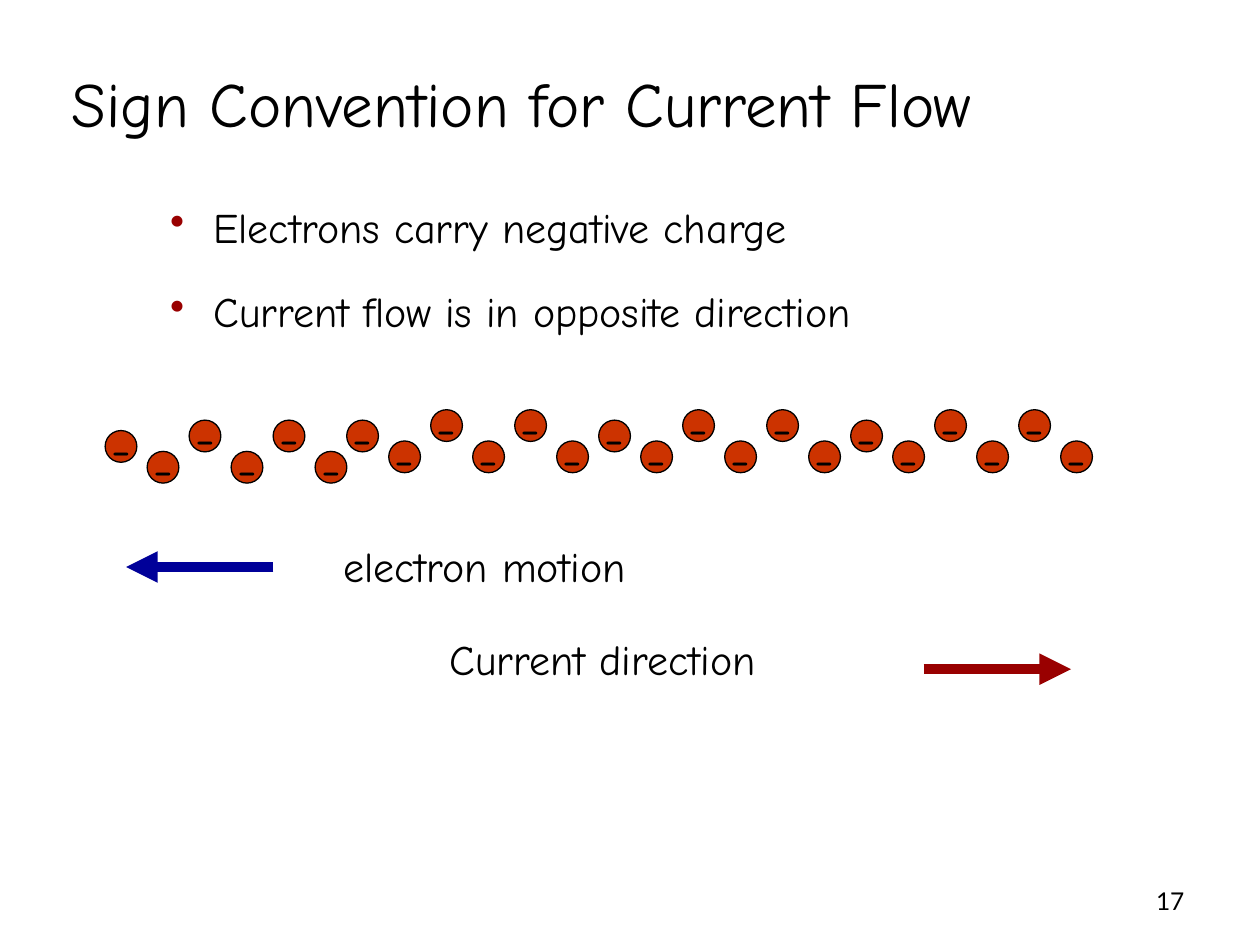
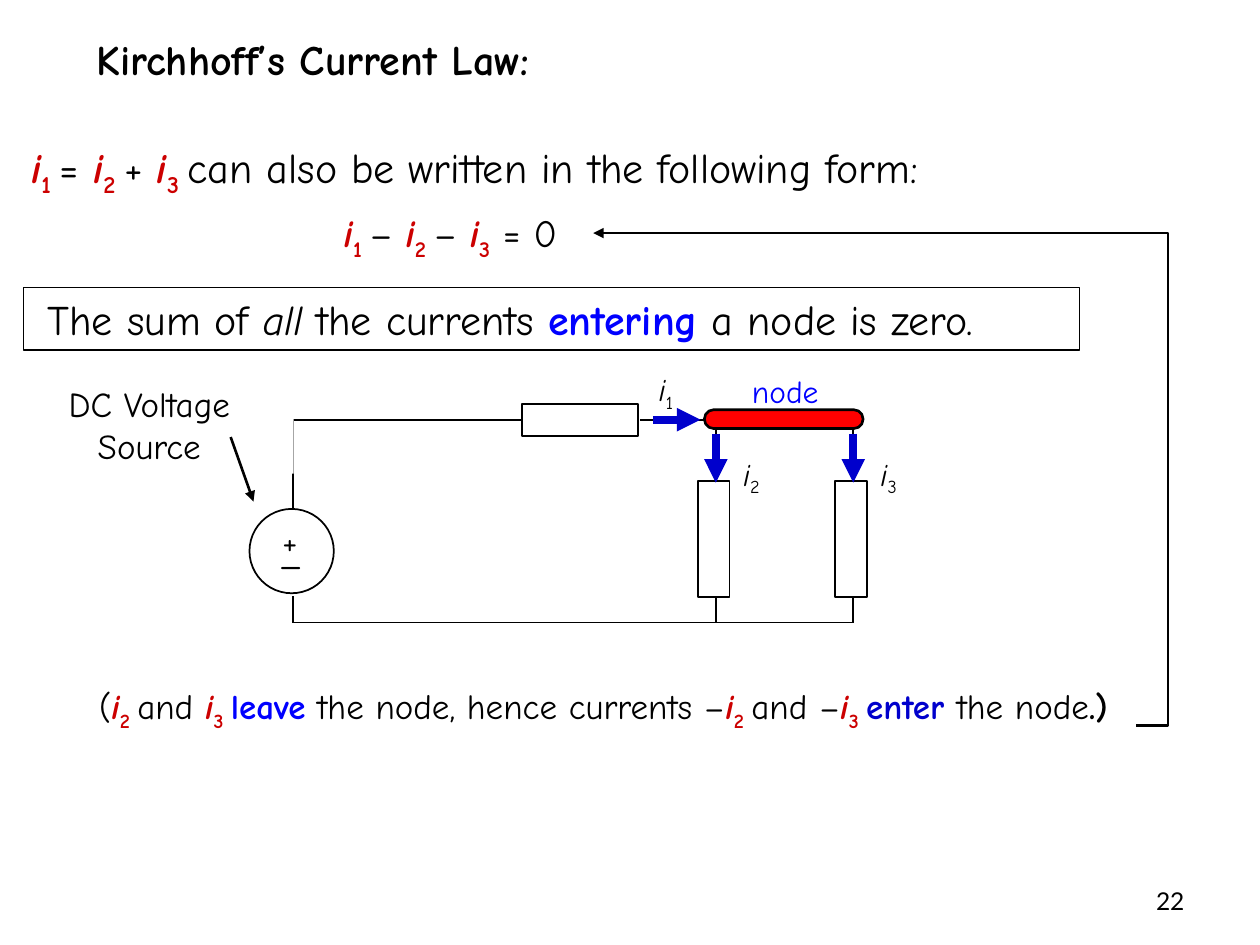
from lxml import etree
from pptx import Presentation
from pptx import util as u
from pptx.dml.color import RGBColor
from pptx.enum import shapes, text
from pptx.oxml.ns import qn

BLACK, WHITE = "000000", "FFFFFF"
SYMBOL_RED, DARK_RED, NODE_RED, ELECTRON = "CC0000", "990000", "FF0000", "CC3300"
BLUE, ARROW_BLUE, NAVY = "0000FF", "0000CC", "000099"
LEFT, CENTER, RIGHT = text.PP_ALIGN.LEFT, text.PP_ALIGN.CENTER, text.PP_ALIGN.RIGHT
TOP, MIDDLE = text.MSO_ANCHOR.TOP, text.MSO_ANCHOR.MIDDLE
KIND = shapes.MSO_SHAPE


def rgb(color):
    return RGBColor.from_string(color)


def current(index, gap=" "):
    style = {"color": SYMBOL_RED, "bold": True}
    return [("i", {**style, "italic": True}), (index + gap, {**style, "sub": True})]


class Deck:
    font = "Comic Neue"
    page_font = "Lato"

    def __init__(self):
        self.prs = Presentation()
        self.prs.slide_width, self.prs.slide_height = u.Cm(25.4), u.Cm(19.05)
        self.slide = None

    def start(self, title, box, page, size, bold=False, align=LEFT):
        self.slide = self.prs.slides.add_slide(self.prs.slide_layouts[5])
        heading = self.slide.shapes.title
        heading.left, heading.top, heading.width, heading.height = map(u.Cm, box)
        heading.text_frame.auto_size = text.MSO_AUTO_SIZE.NONE
        self.fill_text(heading, [(title, {"bold": bold})], size, align, MIDDLE, wrap=True)
        self.label(page, (18.21, 17.65, 5.92, 1.02), 14, align=RIGHT, anchor=MIDDLE,
                   font=self.page_font)

    def fill_text(self, holder, parts, size, align=LEFT, anchor=TOP, wrap=False, font=None):
        frame = holder.text_frame
        frame.word_wrap, frame.vertical_anchor = wrap, anchor
        paragraph = frame.paragraphs[0]
        paragraph.alignment = align
        for words, style in parts:
            run = paragraph.add_run()
            run.text = words
            run.font.name, run.font.size = font or self.font, u.Pt(size)
            run.font.color.rgb = rgb(style.get("color", BLACK))
            run.font.bold = style.get("bold", False)
            run.font.italic = style.get("italic", False)
            if style.get("sub"):
                run.font._element.set("baseline", "-25000")

    def label(self, words, box, size, color=BLACK, **layout):
        parts = [(words, {"color": color})] if isinstance(words, str) else words
        holder = self.slide.shapes.add_textbox(*map(u.Cm, box))
        self.fill_text(holder, parts, size, **layout)
        return holder

    def bullet(self, words, box, size=24):
        holder = self.label(words, box, size, wrap=True)
        props = holder.text_frame.paragraphs[0]._p.get_or_add_pPr()
        props.set("marL", str(u.Cm(0.87)))
        props.set("indent", str(-u.Cm(0.87)))
        tint = etree.SubElement(props, qn("a:buClr"))
        etree.SubElement(tint, qn("a:srgbClr"), val=DARK_RED)
        etree.SubElement(props, qn("a:buChar"), char="•")

    def shape(self, kind, box, fill=WHITE, line=BLACK, width=1):
        figure = self.slide.shapes.add_shape(kind, *map(u.Cm, box))
        figure.shadow.inherit = False
        figure.fill.solid()
        figure.fill.fore_color.rgb = rgb(fill)
        if line:
            figure.line.color.rgb = rgb(line)
            figure.line.width = u.Pt(width)
        else:
            figure.line.fill.background()
        return figure

    def line(self, ends, color=BLACK, width=1, arrow=False, bend=None):
        kind = shapes.MSO_CONNECTOR.STRAIGHT if bend is None else shapes.MSO_CONNECTOR.ELBOW
        wire = self.slide.shapes.add_connector(kind, *map(u.Cm, ends))
        wire.line.color.rgb = rgb(color)
        wire.line.width = u.Pt(width)
        props = wire._element.spPr
        if arrow:
            etree.SubElement(props.find(qn("a:ln")), qn("a:tailEnd"), type="triangle")
        if bend is not None:
            guides = props.find(qn("a:prstGeom")).find(qn("a:avLst"))
            etree.SubElement(guides, qn("a:gd"), name="adj1", fmla=f"val {bend}")
        etree.SubElement(props, qn("a:effectLst"))


def sign_convention(deck):
    deck.start("Sign Convention for Current Flow", (1.19, 1.17, 20.83, 1.78), "17", 36)

    pitch = 2.54 / 3
    first_tops = [8.68, 9.1, 8.47, 9.1, 8.47, 9.1]
    wave_tops = [8.47, 8.89, 8.26, 8.89, 8.26, 8.89] * 3
    for start, tops in ((2.12, first_tops), (6.99, wave_tops)):
        for i, top in enumerate(tops):
            electron = deck.shape(KIND.OVAL, (start + i * pitch, top, 0.64, 0.64),
                                  ELECTRON, width=0.75)
            deck.fill_text(electron, [("-", {})], 28, CENTER, MIDDLE)

    deck.label("electron motion", (6.4, 10.77, 6.73, 1.3), 24, align=CENTER)
    deck.line((5.51, 11.43, 2.54, 11.43), NAVY, 6, arrow=True)
    deck.label("Current direction", (8.41, 12.65, 7.47, 1.3), 24, align=CENTER)
    deck.line((18.62, 13.49, 21.59, 13.49), DARK_RED, 6, arrow=True)

    deck.bullet("Electrons carry negative charge", (3.18, 3.94, 16.5, 1.27))
    deck.bullet("Current flow is in opposite direction", (3.18, 5.64, 16.5, 1.27))


def circuit(deck):
    wire_y, ground_y, source_x = 8.46, 12.55, 5.9
    branches = {"2": 14.43, "3": 17.2}

    deck.line((source_x, wire_y, source_x, 10.29))
    deck.line((source_x, ground_y, source_x, 12.01))
    deck.line((source_x, wire_y, 10.62, wire_y))
    deck.line((12.9, wire_y, branches["3"], wire_y))
    deck.line((source_x, ground_y, branches["3"], ground_y))
    deck.shape(KIND.OVAL, (5.03, 10.26, 1.7, 1.7))
    deck.shape(KIND.RECTANGLE, (10.52, 8.15, 2.34, 0.64))

    for x in branches.values():
        deck.line((x, wire_y, x, 9.7))
        deck.line((x, 12.04, x, ground_y))
        deck.shape(KIND.RECTANGLE, (x - 0.36, 9.7, 0.64, 2.34))
    node = deck.shape(KIND.ROUNDED_RECTANGLE, (14.2, 8.26, 3.2, 0.38), NODE_RED, width=1.5)
    node.adjustments[0] = 0.5

    flows = [("1", (13.16, wire_y, 14.12, wire_y), (13.03, 7.34))]
    flows += [(index, (x, 8.74, x, 9.73), (x + 0.3, 9.04)) for index, x in branches.items()]
    for index, ends, corner in flows:
        deck.line(ends, ARROW_BLUE, 4.5, arrow=True)
        deck.label([("i", {"italic": True}), (index, {"sub": True})], (*corner, 0.97, 1.02), 18)
    deck.label("node", (14.91, 7.37, 1.93, 1.02), 18, BLUE)

    deck.label("+", (5.44, 10.34, 0.86, 1.12), 20)
    deck.label("_", (5.44, 10.62, 0.97, 1.12), 20)
    caption = deck.shape(KIND.RECTANGLE, (0.1, 7.59, 5.82, 1.96), line=None)
    deck.fill_text(caption, [("DC Voltage Source", {})], 20, CENTER, wrap=True)
    deck.line((4.65, 8.81, 5.11, 10.11), width=1.5, arrow=True)


def current_law(deck):
    deck.start("Kirchhoff’s Current Law:", (0.91, 0.53, 10.8, 1.3), "22", 24, True, CENTER)

    deck.label([*current("1"), ("= ", {}), *current("2"), ("+ ", {}), *current("3"),
                ("can also be written in the following form:", {})],
               (0.38, 2.72, 23.8, 1.27), 24, wrap=True)
    deck.label([*current("1"), ("– ", {}), *current("2"), ("– ", {}),
                *current("3", ""), (" = 0", {})], (6.68, 4.09, 5.28, 1.19), 22)

    circuit(deck)

    law = deck.shape(KIND.RECTANGLE, (0.48, 5.79, 21.29, 1.27), width=0.75)
    law.text_frame.margin_left = u.Cm(0.48)
    deck.fill_text(law, [("The sum of ", {}), ("all ", {"italic": True}),
                         ("the currents ", {}), ("entering", {"color": BLUE, "bold": True}),
                         (" a node is zero.", {})], 24, wrap=True)

    deck.label([("(", {}), *current("2"), ("and ", {}), *current("3"),
                ("leave", {"color": BLUE, "bold": True}),
                (" the node, hence currents –", {}), *current("2"), ("and –", {}),
                *current("3"), ("enter ", {"color": ARROW_BLUE, "bold": True}),
                ("the node", {}), (".)", {"bold": True})],
               (1.75, 13.67, 21.5, 1.2), 20, wrap=True)
    deck.line((22.91, 14.63, 11.96, 4.7), width=1.5, arrow=True, bend=-5800)


def main():
    deck = Deck()
    sign_convention(deck)
    current_law(deck)
    deck.prs.save("out.pptx")


if __name__ == "__main__":
    main()
